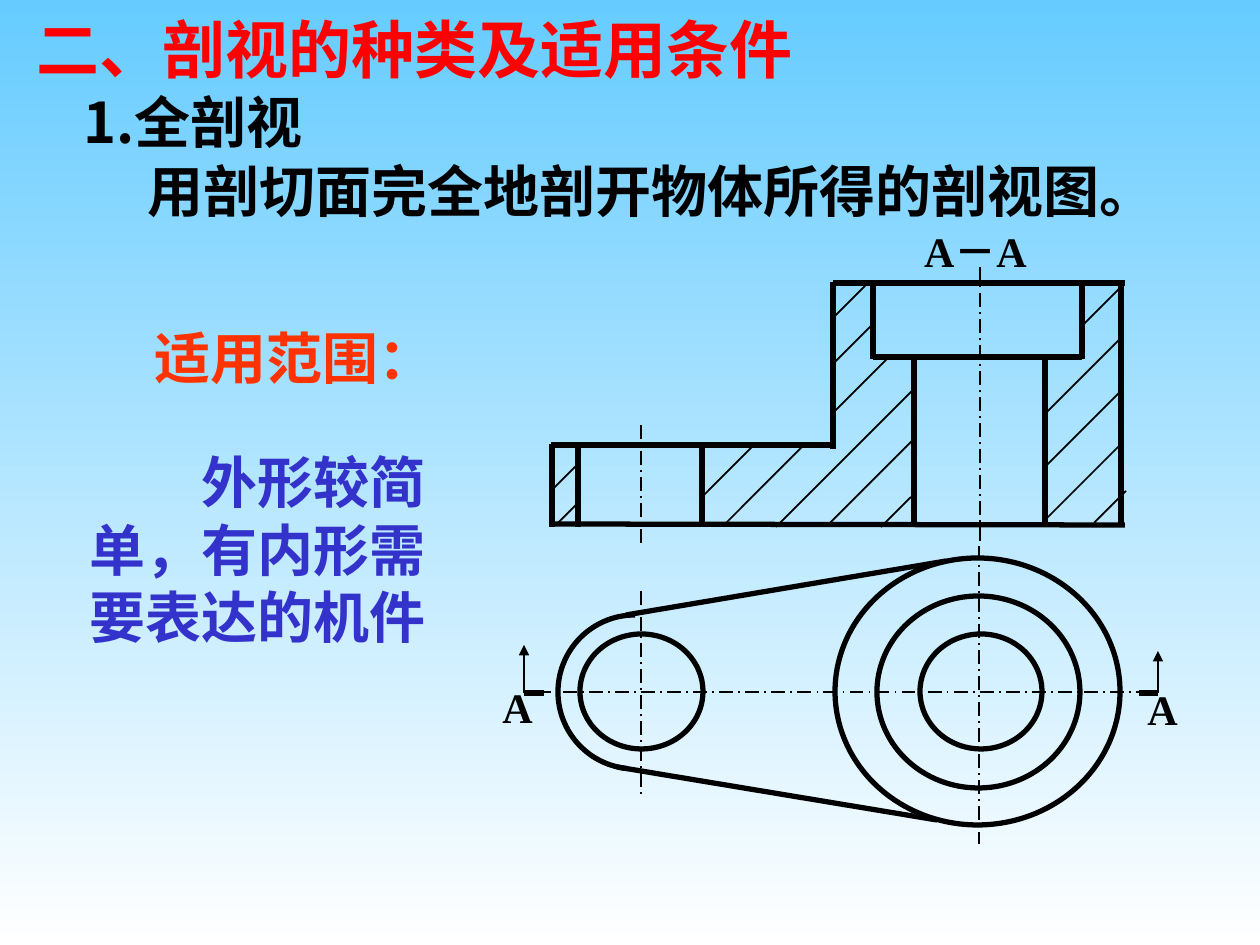
import math

import pptx
import pptx.dml.color
import pptx.enum.dml
import pptx.enum.shapes
import pptx.enum.text
import pptx.oxml.ns
import pptx.util
from lxml import etree

PX = 914400 / 126
RGB = pptx.dml.color.RGBColor
BLACK = RGB(0x00, 0x00, 0x00)
RED = RGB(0xFF, 0x00, 0x00)
ORANGE = RGB(0xFF, 0x33, 0x00)
INDIGO = RGB(0x33, 0x33, 0xCC)
SKY = RGB(0x66, 0xCC, 0xFF)
WHITE = RGB(0xFF, 0xFF, 0xFF)
SANS = "Noto Sans CJK SC"
SERIF = "Times New Roman"
CENTER_LINE = pptx.enum.dml.MSO_LINE.LONG_DASH_DOT
ALIGN = pptx.enum.text.PP_ALIGN
ANCHOR = pptx.enum.text.MSO_ANCHOR
THICK, THIN, FINE = 3, 1, 0.75


def px(length):
    return pptx.util.Emu(round(length * PX))


def add_child(parent, tag, **attributes):
    return etree.SubElement(parent, pptx.oxml.ns.qn(tag), **attributes)


def add_text(page, text, box, size=32, font=SERIF, color=BLACK, centered=False,
             wrap=False, indent=0):
    shape = page.shapes.add_textbox(*map(px, box))
    frame = shape.text_frame
    frame.word_wrap = wrap
    frame.margin_top = frame.margin_bottom = px(6)
    frame.vertical_anchor = ANCHOR.MIDDLE if centered else ANCHOR.TOP
    para = frame.paragraphs[0]
    para.alignment = ALIGN.CENTER if centered else ALIGN.LEFT
    para.line_spacing = pptx.util.Pt(round(size * 1.2, 1))
    if indent:
        para._p.get_or_add_pPr().set("indent", str(px(indent)))
    span = para.add_run()
    span.text = text
    span.font.size = pptx.util.Pt(size)
    span.font.bold = True
    span.font.color.rgb = color
    span.font.name = font
    add_child(span._r.get_or_add_rPr(), "a:ea", typeface=SANS)


def set_stroke(shape, width, dash=None):
    shape.line.color.rgb = BLACK
    shape.line.width = pptx.util.Pt(width)
    if dash is not None:
        shape.line.dash_style = dash


def add_line(page, origin, ends, width=THICK, dash=None, arrow=False):
    """Draw a line between ends (x1, y1, x2, y2) measured from origin."""
    left, top = origin
    x1, y1, x2, y2 = ends
    line = page.shapes.add_connector(
        pptx.enum.shapes.MSO_CONNECTOR.STRAIGHT,
        px(left + x1), px(top + y1), px(left + x2), px(top + y2))
    set_stroke(line, width, dash)
    if arrow:
        add_child(line.line._get_or_add_ln(), "a:tailEnd", type="triangle")
    add_child(line._element.spPr, "a:effectLst")


def add_ellipse(page, origin, box):
    x, y, width, height = box
    ellipse = page.shapes.add_shape(
        pptx.enum.shapes.MSO_SHAPE.OVAL,
        px(origin[0] + x), px(origin[1] + y), px(width), px(height))
    ellipse.shadow.inherit = False
    ellipse.fill.background()
    set_stroke(ellipse, THICK)


def add_arc(page, origin, center, radius, start, end):
    """Draw a circular arc; degrees run clockwise from the right."""
    points = []
    for degrees in range(start, end + 1, 3):
        angle = math.radians(degrees)
        points.append((px(origin[0] + center[0] + radius * math.cos(angle)),
                       px(origin[1] + center[1] + radius * math.sin(angle))))
    builder = page.shapes.build_freeform(*points[0])
    builder.add_line_segments(points[1:], close=False)
    arc = builder.convert_to_shape()
    arc.shadow.inherit = False
    arc.fill.background()
    set_stroke(arc, THICK)


def draw_section_view(page, left, top):
    origin = left, top
    hatches = [  # lower left x, y and run of each 45 degree line
        (283, 193, 58), (331, 307, 30), (280, 303, 84), (226, 307, 139),
        (176, 303, 78), (283, 144, 40), (285, 96, 34), (151, 278, 54),
        (544, 303, 32), (496, 299, 76), (495, 247, 78), (497, 192, 76),
        (534, 104, 38), (3, 269, 26), (8, 303, 21)]
    for x, y, run in hatches:
        add_line(page, origin, (x, y, x + run, y - run), THIN)
    for x, y1, y2 in [(430, 321, 42), (91, 323, 201)]:
        add_line(page, origin, (x, y1, x, y2), THIN, CENTER_LINE)
    walls = [(571, 304, 62), (2, 307, 224), (152, 304, 226), (28, 307, 224),
             (323, 139, 62), (532, 139, 62), (495, 304, 139), (364, 305, 138),
             (283, 229, 62)]
    for x, y1, y2 in walls:
        add_line(page, origin, (x, y1, x, y2))
    edges = [(283, 63, 575, 63), (1, 304, 575, 305), (1, 225, 283, 225),
             (323, 137, 532, 137)]
    for edge in edges:
        add_line(page, origin, edge)
    add_text(page, "A－A", (left + 336, top - 1, 179, 63), size=24, centered=True)


def draw_top_view(page, left, top):
    origin = left, top
    axes = [(47, 147, 655, 147), (489, 1, 489, 299), (151, 46, 151, 251)]
    for axis in axes:
        add_line(page, origin, axis, THIN, CENTER_LINE)
    circles = [(345, 13, 285, 267), (387, 51, 203, 192),
               (430, 89, 122, 115), (90, 89, 123, 115)]
    for circle in circles:
        add_ellipse(page, origin, circle)
    for tangent in [(136, 70, 456, 16), (127, 222, 447, 275)]:
        add_line(page, origin, tangent)
    add_arc(page, origin, center=(145, 147), radius=77, start=96, end=270)
    cut_marks = [  # inner end, outer end, arrow tip y, label x and y
        (54, 34, 100, 0, 130), (649, 668, 106, 645, 132)]
    for inner, outer, tip, x, y in cut_marks:
        add_line(page, origin, (inner, 148, outer, 148))
        add_line(page, origin, (outer, 148, outer, tip), FINE, arrow=True)
        add_text(page, "A", (left + x, top + y, 55, 63), size=24, centered=True)


def write_headings(page, left, top):
    add_text(page, "二、剖视的种类及适用条件", (left, top, 781, 88),
             size=36, font=SANS, color=RED)
    add_text(page, "1.全剖视", (left + 47, top + 76, 254, 81), font=SANS, wrap=True)
    add_text(page, "用剖切面完全地剖开物体所得的剖视图。",
             (left + 111, top + 145, 1034, 81))


def write_scope(page, left, top):
    add_text(page, "适用范围：", (left + 65, top, 305, 81), color=ORANGE)
    add_text(page, "外形较简单，有内形需要表达的机件", (left, top + 124, 415, 214),
             color=INDIGO, wrap=True, indent=112)


def paint_background(page):
    fill = page.background.fill
    fill.gradient()
    fill.gradient_angle = 270
    for stop, position, color in zip(fill.gradient_stops, (0, 1), (SKY, WHITE)):
        stop.position = position
        stop.color.rgb = color


def main():
    deck = pptx.Presentation()
    deck.slide_width, deck.slide_height = px(1260), px(945)
    page = deck.slides.add_slide(deck.slide_layouts[6])
    paint_background(page)
    write_headings(page, 24, 5)
    write_scope(page, 77, 318)
    draw_top_view(page, 490, 545)
    draw_section_view(page, 550, 220)
    deck.save("out.pptx")


if __name__ == "__main__":
    main()
